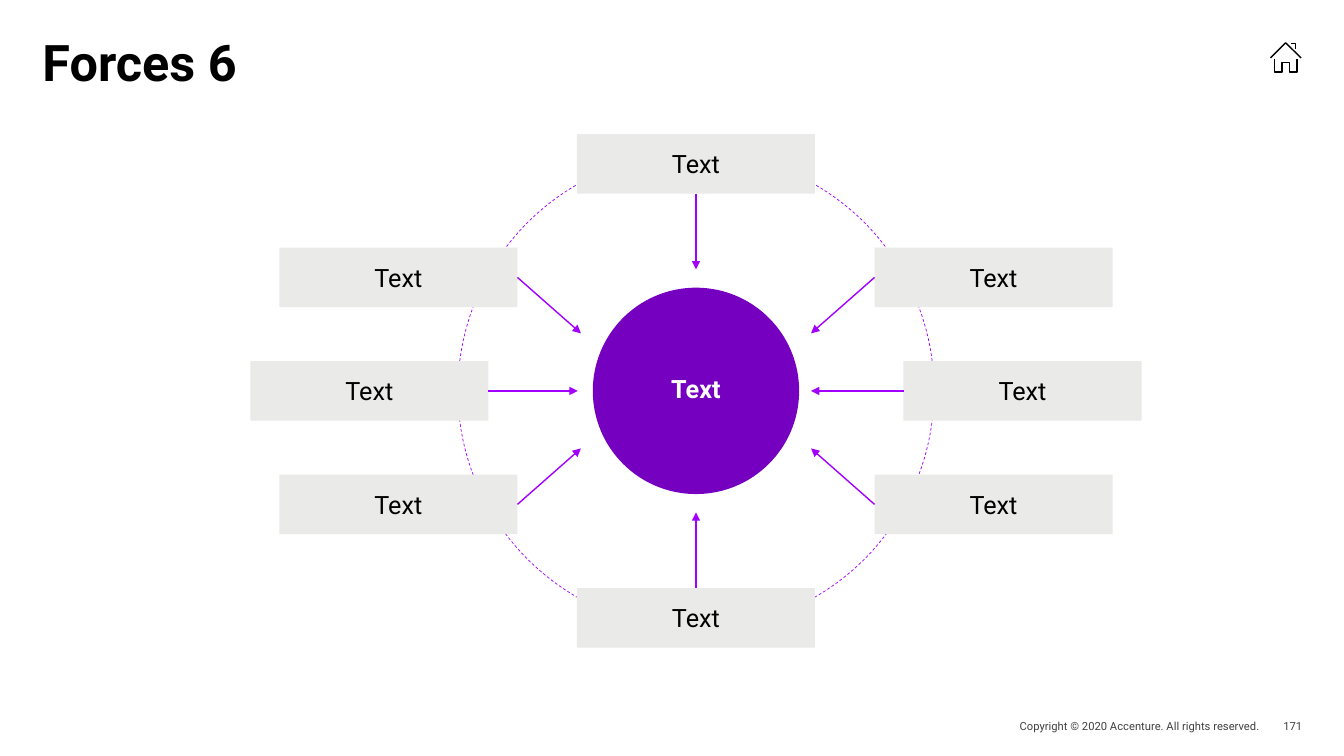
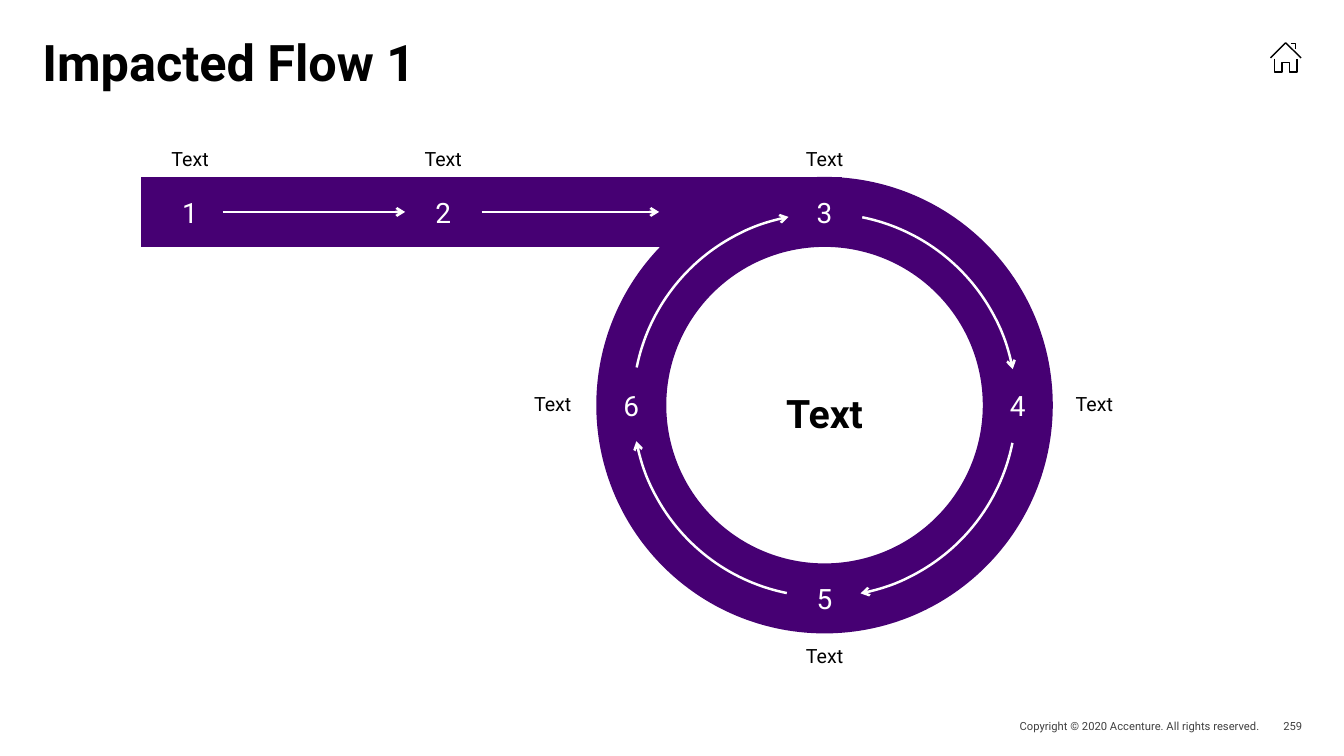
from lxml import etree
from pptx import Presentation
from pptx.dml.color import RGBColor
from pptx.enum.dml import MSO_LINE
from pptx.enum.shapes import MSO_CONNECTOR, MSO_SHAPE
from pptx.enum.text import MSO_ANCHOR, MSO_AUTO_SIZE, PP_ALIGN
from pptx.oxml.ns import qn
from pptx.util import Cm, Pt

BLACK = RGBColor(0x00, 0x00, 0x00)
WHITE = RGBColor(0xFF, 0xFF, 0xFF)
FOOTER_GREY = RGBColor(0x40, 0x40, 0x40)
BOX_GREY = RGBColor(0xEA, 0xEA, 0xE8)
BRIGHT_PURPLE = RGBColor(0xA1, 0x00, 0xFF)
PURPLE = RGBColor(0x75, 0x00, 0xC0)
DARK_PURPLE = RGBColor(0x46, 0x00, 0x73)
FONT = "Roboto"


def write(shape, text, size, colour=BLACK, bold=False, align=PP_ALIGN.CENTER, spacing=1.0):
    """Put one vertically centred paragraph, without margins, into a shape."""
    frame = shape.text_frame
    frame.word_wrap = True
    frame.vertical_anchor = MSO_ANCHOR.MIDDLE
    frame.margin_left = frame.margin_right = frame.margin_top = frame.margin_bottom = 0
    para = frame.paragraphs[0]
    para.text = text
    para.alignment = align
    para.line_spacing = spacing
    para.font.name = FONT
    para.font.size = Pt(size)
    para.font.bold = bold
    para.font.color.rgb = colour


def style_stroke(shape, colour, width, arrowhead=None):
    """Set colour and width of a line or outline, with an optional head at its end."""
    shape.line.color.rgb = colour
    shape.line.width = Pt(width)
    properties = shape.element.spPr
    if arrowhead:
        etree.SubElement(properties.find(qn("a:ln")), qn("a:tailEnd"), type=arrowhead)
    if properties.find(qn("a:effectLst")) is None:
        etree.SubElement(properties, qn("a:effectLst"))


deck = Presentation()
deck.slide_width, deck.slide_height = Cm(33.87), Cm(19.05)

# Title position shared through the layout
layout = deck.slide_layouts.get_by_name("Title Only")
layout_title = layout.placeholders[0]
layout_title.left, layout_title.top = Cm(1.07), Cm(1.07)
layout_title.width, layout_title.height = Cm(31.75), Cm(2.74)

# Strokes of the home icon, in hundredths of a centimetre
HOME_STROKES = [
    [(3202, 146), (3240, 108), (3279, 146)],
    [(3253, 110), (3265, 110), (3265, 124)],
    [(3212, 148), (3212, 182), (3231, 182), (3231, 157),
     (3249, 157), (3249, 182), (3269, 182), (3269, 148)],
]

# Title, home icon and footer of every slide
pages = []
for title, number in [("Forces 6", "171"), ("Impacted Flow 1", "259")]:
    page = deck.slides.add_slide(layout)
    pages.append(page)
    write(page.shapes.title, title, 36, bold=True, align=PP_ALIGN.LEFT, spacing=0.8)
    page.shapes.title.text_frame.vertical_anchor = MSO_ANCHOR.TOP
    page.shapes.title.text_frame.auto_size = MSO_AUTO_SIZE.NONE

    outline = page.shapes.build_freeform(*HOME_STROKES[0][0], scale=Cm(0.01))
    outline.add_line_segments(HOME_STROKES[0][1:], close=False)
    for stroke in HOME_STROKES[1:]:
        outline.move_to(*stroke[0])
        outline.add_line_segments(stroke[1:], close=False)
    home_icon = outline.convert_to_shape()
    home_icon.fill.background()
    style_stroke(home_icon, BLACK, 1)

    for text, left, width in [
        ("Copyright © 2020 Accenture. All rights reserved.", 23.11, 8.64),
        (number, 31.75, 1.07),
    ]:
        footer = page.shapes.add_textbox(Cm(left), Cm(18.01), Cm(width), Cm(0.57))
        write(footer, text, 8, FOOTER_GREY, align=PP_ALIGN.RIGHT)

forces, flow = pages

# Forces: boxes around a disc
CENTRE_X, CENTRE_Y = 17.54, 9.85
BOX_WIDTH, BOX_HEIGHT = 6, 1.5
ROW_STEP = 2.86
RING_SIZE, DISC_SIZE = 12, 5.2

ring = forces.shapes.add_shape(
    MSO_SHAPE.OVAL, Cm(CENTRE_X - RING_SIZE / 2), Cm(CENTRE_Y - RING_SIZE / 2),
    Cm(RING_SIZE), Cm(RING_SIZE))
ring.fill.background()
ring.line.dash_style = MSO_LINE.DASH
style_stroke(ring, BRIGHT_PURPLE, 0.5)

# Box centre and row, then arrow tip, all measured from the centre
for box_x, row, tip_x, tip_y in [
    (0, -2, 0, -3.06),
    (7.5, -1, 2.9, -1.45),
    (8.23, 0, 2.9, 0),
    (7.5, 1, 2.9, 1.45),
    (0, 2, 0, 3.06),
    (-7.5, 1, -2.9, 1.45),
    (-8.23, 0, -2.98, 0),
    (-7.5, -1, -2.9, -1.45),
]:
    x, y = CENTRE_X + box_x, CENTRE_Y + row * ROW_STEP
    box = forces.shapes.add_shape(
        MSO_SHAPE.RECTANGLE, Cm(x - BOX_WIDTH / 2), Cm(y - BOX_HEIGHT / 2),
        Cm(BOX_WIDTH), Cm(BOX_HEIGHT))
    box.shadow.inherit = False
    box.fill.solid()
    box.fill.fore_color.rgb = BOX_GREY
    box.line.fill.background()
    write(box, "Text", 18)

    if box_x:
        x -= BOX_WIDTH / 2 if box_x > 0 else -BOX_WIDTH / 2
    else:
        y -= BOX_HEIGHT / 2 if row > 0 else -BOX_HEIGHT / 2
    arrow = forces.shapes.add_connector(
        MSO_CONNECTOR.STRAIGHT, Cm(x), Cm(y), Cm(CENTRE_X + tip_x), Cm(CENTRE_Y + tip_y))
    style_stroke(arrow, BRIGHT_PURPLE, 1, "triangle")

disc = forces.shapes.add_shape(
    MSO_SHAPE.OVAL, Cm(CENTRE_X - DISC_SIZE / 2), Cm(CENTRE_Y - DISC_SIZE / 2),
    Cm(DISC_SIZE), Cm(DISC_SIZE))
disc.shadow.inherit = False
disc.fill.solid()
disc.fill.fore_color.rgb = PURPLE
disc.line.fill.background()
write(disc, "Text", 18, WHITE, bold=True, spacing=0.85)

# Impacted flow: a straight track running into a loop
LOOP_X, LOOP_Y, LOOP_RADIUS = 20.78, 10.21, 4.87
ARC_RADIUS = 4.83
TRACK_Y = LOOP_Y - LOOP_RADIUS

for start, end, colour, width, arrowhead in [
    (3.56, 21.23, DARK_PURPLE, 50, None),
    (5.61, 10.21, WHITE, 1.75, "arrow"),
    (12.14, 16.61, WHITE, 1.75, "arrow"),
]:
    track = flow.shapes.add_connector(
        MSO_CONNECTOR.STRAIGHT, Cm(start), Cm(TRACK_Y), Cm(end), Cm(TRACK_Y))
    style_stroke(track, colour, width, arrowhead)

loop = flow.shapes.add_shape(
    MSO_SHAPE.OVAL, Cm(LOOP_X - LOOP_RADIUS), Cm(LOOP_Y - LOOP_RADIUS),
    Cm(2 * LOOP_RADIUS), Cm(2 * LOOP_RADIUS))
loop.fill.background()
style_stroke(loop, DARK_PURPLE, 50)

for rotation in (270, 0, 90, 180):
    arc = flow.shapes.add_shape(
        MSO_SHAPE.ARC, Cm(LOOP_X - ARC_RADIUS), Cm(LOOP_Y - ARC_RADIUS),
        Cm(2 * ARC_RADIUS), Cm(2 * ARC_RADIUS))
    arc.rotation = rotation
    arc.adjustments[0], arc.adjustments[1] = 6.82, 47.5
    arc.fill.background()
    style_stroke(arc, WHITE, 1.75, "arrow")

# Step centre, then label offset from it
STEP_SIZE, LABEL_WIDTH, LABEL_HEIGHT = 1.5, 2, 0.53
for step, (x, y, label_x, label_y) in enumerate([
    (4.79, TRACK_Y, 0, -1.31),
    (11.17, TRACK_Y, 0, -1.31),
    (LOOP_X, TRACK_Y, 0, -1.31),
    (LOOP_X + LOOP_RADIUS, LOOP_Y, 1.93, 0),
    (LOOP_X, LOOP_Y + LOOP_RADIUS, 0, 1.47),
    (LOOP_X - LOOP_RADIUS, LOOP_Y, -1.98, 0),
], start=1):
    number_box = flow.shapes.add_textbox(
        Cm(x - STEP_SIZE / 2), Cm(y - STEP_SIZE / 2), Cm(STEP_SIZE), Cm(STEP_SIZE))
    write(number_box, str(step), 20, WHITE)
    label = flow.shapes.add_textbox(
        Cm(x + label_x - LABEL_WIDTH / 2), Cm(y + label_y - LABEL_HEIGHT / 2),
        Cm(LABEL_WIDTH), Cm(LABEL_HEIGHT))
    write(label, "Text", 14, spacing=0.9)

loop_label = flow.shapes.add_textbox(Cm(LOOP_X - 2), Cm(10.03), Cm(4), Cm(0.97))
write(loop_label, "Text", 28, bold=True, spacing=0.8)

deck.save("out.pptx")
